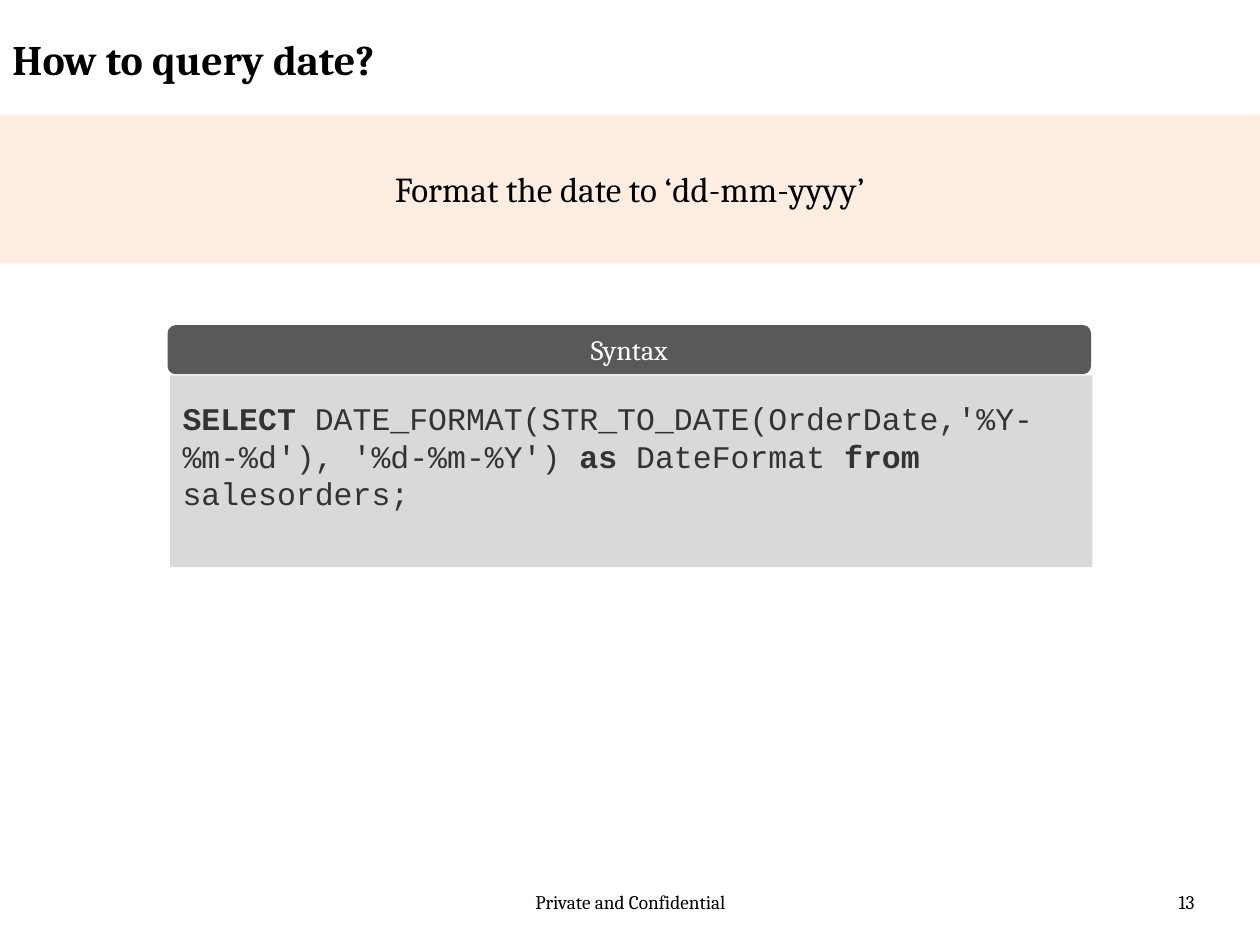
from pptx import Presentation
from pptx.dml.color import RGBColor
from pptx.enum.shapes import MSO_SHAPE
from pptx.enum.text import MSO_ANCHOR, PP_ALIGN
from pptx.oxml.ns import qn
from pptx.util import Inches, Pt
from lxml import etree

LEFT, CENTER, RIGHT = PP_ALIGN.LEFT, PP_ALIGN.CENTER, PP_ALIGN.RIGHT
TOP, MIDDLE = MSO_ANCHOR.TOP, MSO_ANCHOR.MIDDLE
RECT, ROUND_RECT = MSO_SHAPE.RECTANGLE, MSO_SHAPE.ROUNDED_RECTANGLE
SERIF, MONO = "Cambria", "Courier New"

# Code fragments with their bold flag
QUERY = [
    ("SELECT", True),
    (" DATE_FORMAT(STR_TO_DATE(OrderDate,'%Y-%m-%d'), '%d-%m-%Y') ", False),
    ("as ", True),
    ("DateFormat ", False),
    ("from ", True),
    ("salesorders;", False),
]


def rgb(color):
    return RGBColor.from_string(color)


def write(shape, size, color="000000", text="", font=SERIF, align=LEFT, anchor=TOP):
    tf = shape.text_frame
    tf.word_wrap = True
    tf.vertical_anchor = anchor
    p = tf.paragraphs[0]
    p.alignment = align
    p.font.size = Pt(size)
    p.font.name = font
    p.font.color.rgb = rgb(color)
    if text:
        p.add_run().text = text
    return p


def add_text(slide, box, text, size, align=LEFT):
    sp = slide.shapes.add_textbox(*map(Inches, box))
    return write(sp, size, text=text, align=align)


def add_panel(slide, kind, box, fill, alpha=None):
    sp = slide.shapes.add_shape(kind, *map(Inches, box))
    sp.shadow.inherit = False
    sp.fill.solid()
    sp.fill.fore_color.rgb = rgb(fill)
    sp.line.fill.background()
    if alpha is not None:
        color = sp.fill._xPr.find(qn("a:solidFill"))[0]
        etree.SubElement(color, qn("a:alpha")).set("val", str(alpha * 1000))
    return sp


def add_code(slide, box, fragments):
    sp = add_panel(slide, ROUND_RECT, box, "D9D9D9")
    sp.adjustments[0] = 0
    sp.text_frame.margin_bottom = Inches(0.3)
    p = write(sp, 18, "333333", font=MONO, anchor=MIDDLE)
    for text, bold in fragments:
        r = p.add_run()
        r.text = text
        r.font.bold = bold


def main():
    prs = Presentation()
    prs.slide_width, prs.slide_height = Inches(10), Inches(7.5)
    slide = prs.slides.add_slide(prs.slide_layouts[6])

    # Footer
    add_text(slide, (3.42, 7.02, 3.17, 0.4), "Private and Confidential", 11, CENTER)
    add_text(slide, (7.25, 7.02, 2.33, 0.4), "13", 11, RIGHT)

    # Title
    title = add_text(slide, (0, 0.22, 7.59, 0.62), "How to query date?", 24)
    title.font.bold = True

    # Task band
    band = add_panel(slide, RECT, (0, 0.91, 10, 1.18), "FDEADA", alpha=79)
    write(band, 20, text="Format the date to ‘dd-mm-yyyy’", align=CENTER, anchor=MIDDLE)

    # Syntax header and query
    header = add_panel(slide, ROUND_RECT, (1.33, 2.58, 7.33, 0.39), "595959")
    write(header, 16, "FFFFFF", "Syntax", align=CENTER, anchor=MIDDLE)
    add_code(slide, (1.35, 2.98, 7.32, 1.52), QUERY)

    prs.save("out.pptx")


if __name__ == "__main__":
    main()
